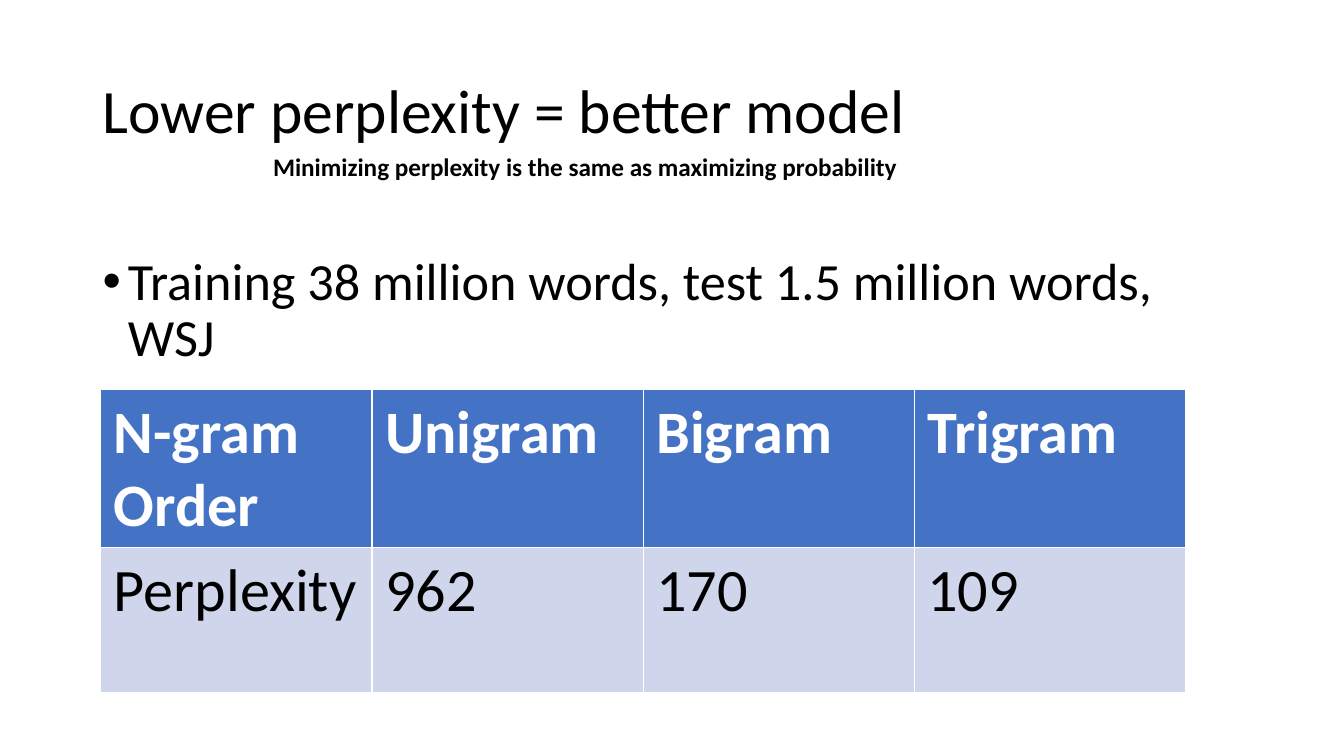
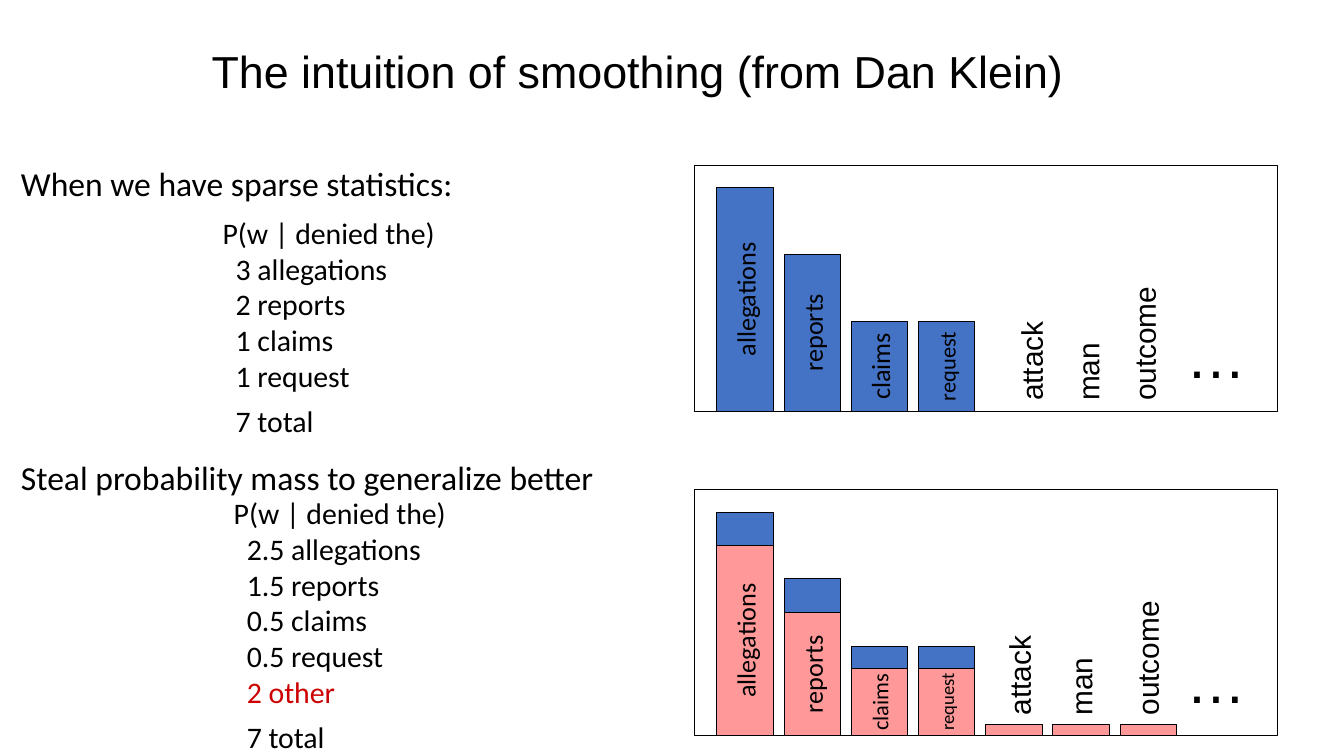
from dataclasses import dataclass
from lxml.etree import SubElement
from pptx import Presentation
from pptx.dml.color import RGBColor
from pptx.enum.shapes import MSO_SHAPE
from pptx.enum.text import MSO_ANCHOR, PP_ALIGN
from pptx.oxml.ns import qn
from pptx.util import Inches, Pt


@dataclass(frozen=True)
class Theme:
    black: str = "000000"
    white: str = "FFFFFF"
    blue: str = "4472C4"
    pale: str = "CFD5EA"
    pink: str = "FF9999"
    red: str = "CC0000"
    sans: str = "Calibri"
    plain: str = "Arial"
    title: float = 44
    talk: float = 32
    body: float = 37.3
    grid: float = 43
    lead: float = 24
    count: float = 21.3
    note: float = 18
    bar: float = 18.7
    small: float = 16
    tiny: float = 13.3
    dots: float = 42.7


class Deck:
    def __init__(self, theme):
        self.theme = theme
        self.file = Presentation()
        self.file.slide_width = Inches(13.33)
        self.file.slide_height = Inches(7.5)
        self.slide = None

    def page(self):
        self.slide = self.file.slides.add_slide(self.file.slide_layouts[6])

    def style(self, para, size, face=None, color=None, bold=False):
        for run in para.runs:
            font = run.font
            font.size = Pt(size)
            font.name = face or self.theme.sans
            font.bold = bold
            font.color.rgb = RGBColor.from_string(color or self.theme.black)

    def text(self, words, box, size, face=None, bold=False, turn=0):
        shape = self.slide.shapes.add_textbox(*map(Inches, box))
        shape.rotation = turn
        frame = shape.text_frame
        frame.word_wrap = True
        frame.text = words
        for para in frame.paragraphs:
            self.style(para, size, face, bold=bold)
        return frame

    def title(self, words, box, size, face=None):
        frame = self.text(words, box, size, face)
        frame.vertical_anchor = MSO_ANCHOR.MIDDLE
        frame.paragraphs[0].line_spacing = 0.9

    def indent(self, para, left, first=0):
        props = para._p.get_or_add_pPr()
        props.set("marL", str(Inches(left)))
        props.set("indent", str(Inches(first)))
        return props

    def bullet(self, words, box, size):
        para = self.text(words, box, size).paragraphs[0]
        para.line_spacing = 0.9
        props = self.indent(para, 0.25, -0.25)
        SubElement(props, qn("a:buFont")).set("typeface", self.theme.plain)
        SubElement(props, qn("a:buChar")).set("char", "•")

    def table(self, rows, left, top, width, heights):
        look = self.theme
        grid = self.slide.shapes.add_table(
            len(rows), len(rows[0]), Inches(left), Inches(top),
            Inches(width * len(rows[0])), Inches(sum(heights))).table
        for col in grid.columns:
            col.width = Inches(width)
        for i, row in enumerate(rows):
            grid.rows[i].height = Inches(heights[i])
            head = i == 0
            for j, words in enumerate(row):
                cell = grid.cell(i, j)
                cell.margin_left = Inches(0.13)
                cell.margin_right = Inches(0.1)
                cell.margin_top = cell.margin_bottom = Inches(0.07)
                cell.fill.solid()
                cell.fill.fore_color.rgb = RGBColor.from_string(look.blue if head else look.pale)
                cell.text_frame.text = words
                self.style(cell.text_frame.paragraphs[0], look.grid,
                           color=look.white if head else look.black, bold=head)

    def counts(self, lines, box, extra=None):
        look = self.theme
        paras = self.text("\n".join(lines), box, look.count).paragraphs
        for para in paras[1:]:
            self.indent(para, 0.13)
            if para.text == extra:
                self.style(para, look.count, color=look.red)
        paras[-1].space_before = Pt(6.5)

    def rect(self, box, fill=None):
        shape = self.slide.shapes.add_shape(MSO_SHAPE.RECTANGLE, *map(Inches, box))
        shape.shadow.inherit = False
        shape.line.color.rgb = RGBColor.from_string(self.theme.black)
        shape.line.width = Pt(0.75)
        if fill:
            shape.fill.solid()
            shape.fill.fore_color.rgb = RGBColor.from_string(fill)
        else:
            shape.fill.background()
        return shape

    def bar(self, slot, base, tall, fill, words="", size=0):
        wide = 0.56
        mid = 7.39 + slot * 2 / 3
        shape = self.rect((mid - tall / 2, base - tall / 2 - wide / 2, tall, wide), fill)
        shape.rotation = 270
        if words:
            frame = shape.text_frame
            frame.word_wrap = False
            frame.vertical_anchor = MSO_ANCHOR.MIDDLE
            frame.text = words
            frame.paragraphs[0].alignment = PP_ALIGN.CENTER
            self.style(frame.paragraphs[0], size)

    def panel(self, top, layers, spots, mid, dots):
        look = self.theme
        high = 2.44
        self.rect((6.89, top, 5.78, high))
        for fill, bars in layers:
            for slot, bar in enumerate(bars):
                self.bar(slot, top + high, bar[0], fill, *bar[1:])
        for words, spot in zip(("attack", "man", "outcome"), spots):
            self.text(words, (spot - 1.67 / 2, mid - 0.23, 1.67, 0.46),
                      look.count, look.plain, turn=270)
        self.text("…", (11.67, dots, 0.78, 0.82), look.dots, look.plain)


def score(deck):
    look = deck.theme
    deck.page()
    deck.title("Lower perplexity = better model", (0.92, 0.4, 11.5, 1.45), look.title)
    deck.bullet("Training 38 million words, test 1.5 million words, WSJ",
                (0.92, 2.48, 11.5, 1.3), look.body)
    deck.table((("N-gram Order", "Unigram", "Bigram", "Trigram"),
                ("Perplexity", "962", "170", "109")), 1, 3.86, 2.69, (1.56, 1.44))
    deck.text("Minimizing perplexity is the same as maximizing probability",
              (2.61, 1.45, 6.44, 0.4), look.note, bold=True)


def smooth(deck):
    look = deck.theme
    deck.page()
    deck.title("The intuition of smoothing (from Dan Klein)",
               (2, 0.19, 10.89, 1.08), look.talk, look.plain)
    for words, top in (("When we have sparse statistics:", 1.57),
                       ("Steal probability mass to generalize better", 4.48)):
        deck.text(words, (0.11, top, 6.5, 0.5), look.lead)
    deck.counts(("P(w | denied the)", "3 allegations", "2 reports", "1 claims",
                 "1 request", "7 total"), (2.11, 2.08, 3.56, 2.34))
    deck.counts(("P(w | denied the)", "2.5 allegations", "1.5 reports", "0.5 claims",
                 "0.5 request", "2 other", "7 total"), (2.22, 4.86, 3.56, 2.7), "2 other")

    names = ("allegations", "reports", "claims", "request")
    full = (2.22, 1.56, 0.89, 0.89)
    less = (1.89, 1.22, 0.67, 0.67)
    raw = tuple(zip(full, names, (look.bar, look.bar, look.bar, look.small)))
    cut = tuple(zip(less, names, (look.bar, look.bar, look.small, look.tiny)))
    deck.panel(1.64, ((look.blue, raw),), (10.23, 10.79, 11.35), 3.24, 3.11)
    deck.panel(4.86, ((look.blue, tuple((tall,) for tall in full)),
                      (look.pink, cut + ((0.11,),) * 3)),
               (10.11, 10.72, 11.38), 6.36, 6.34)


def main():
    deck = Deck(Theme())
    score(deck)
    smooth(deck)
    deck.file.save("out.pptx")


if __name__ == "__main__":
    main()
